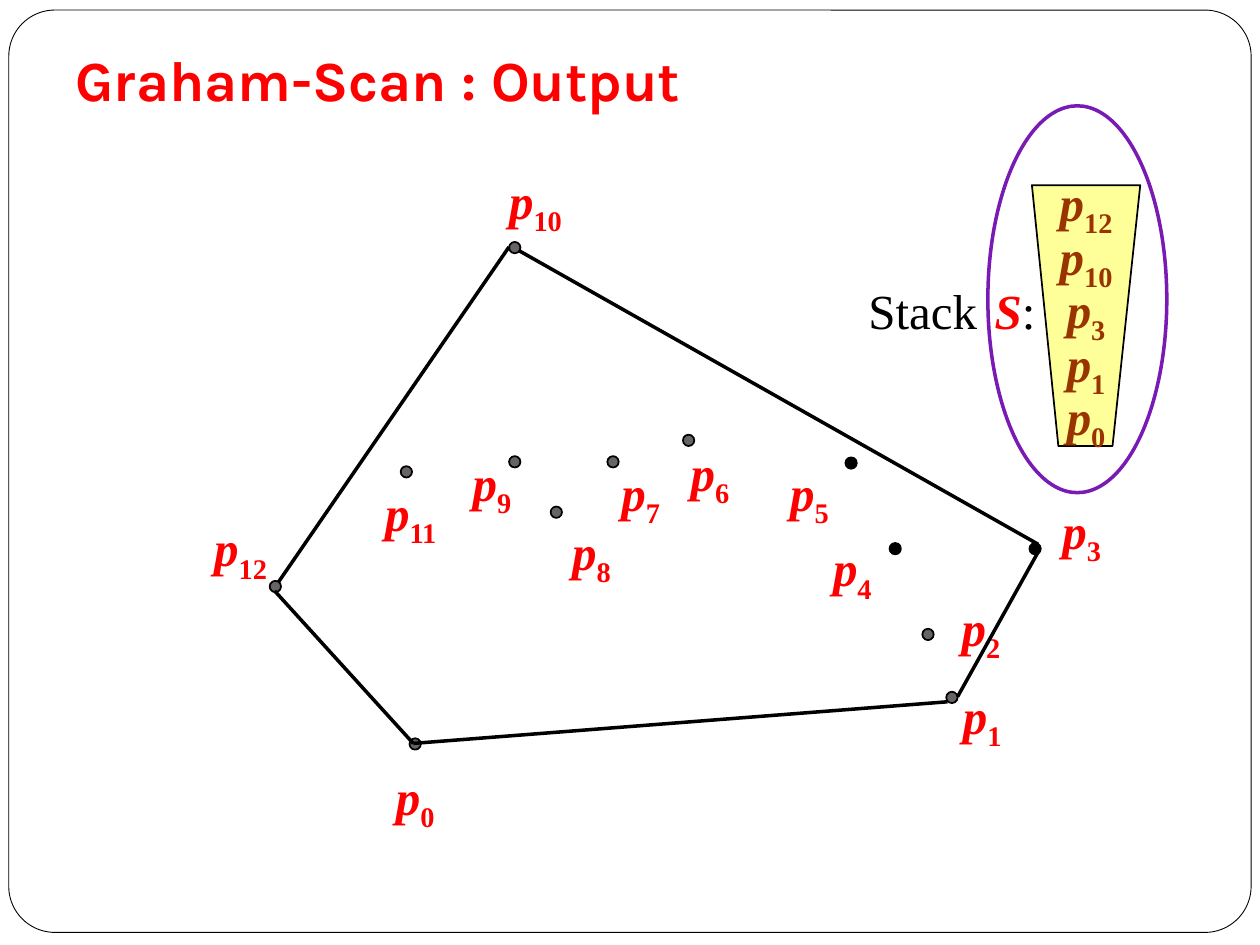
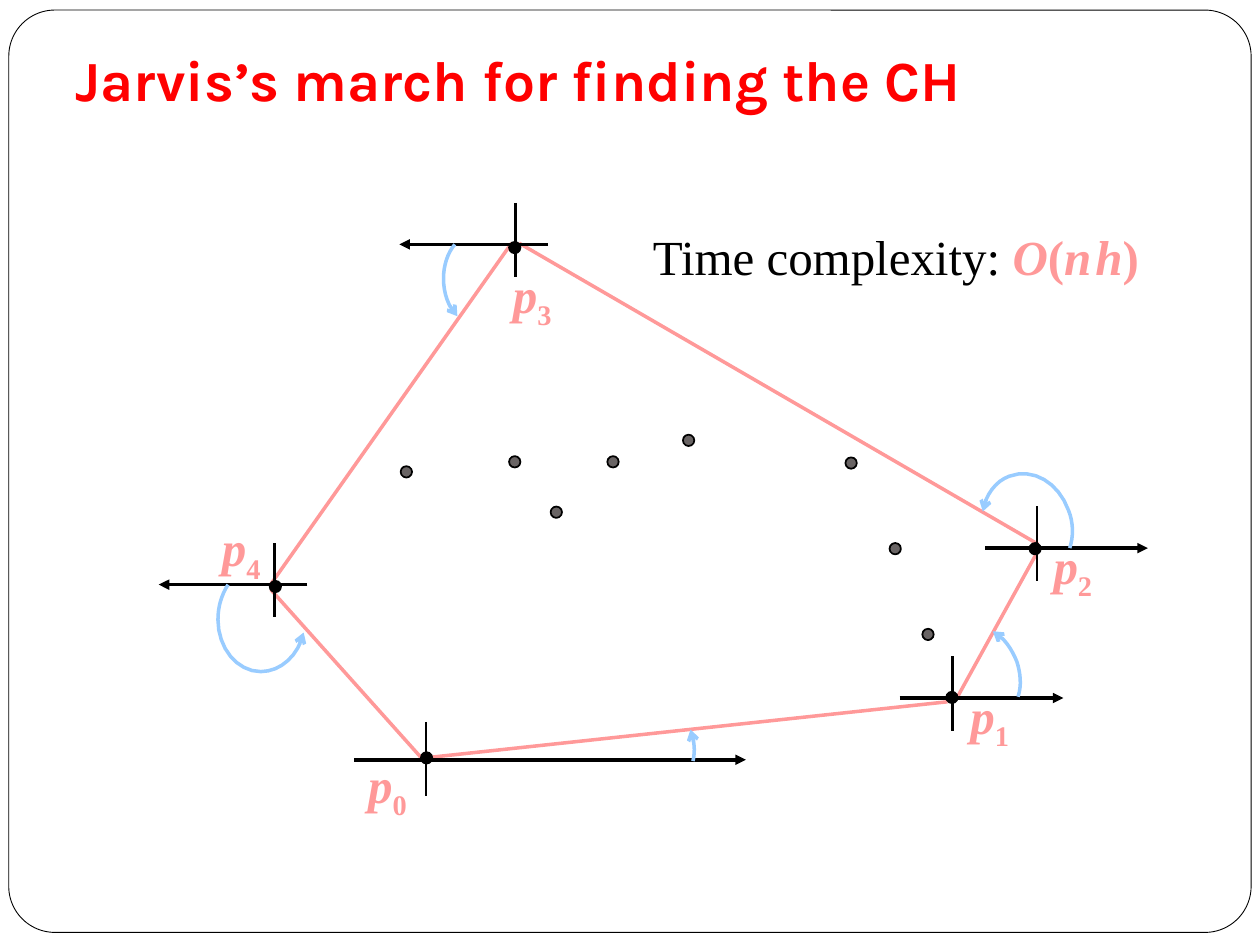
"""Build two slides on convex hulls: Graham scan and Jarvis's march."""
from typing import Any, NamedTuple, Optional

from lxml import etree
from pptx import Presentation
from pptx import util as u
from pptx.dml.color import RGBColor
from pptx.enum import shapes, text
from pptx.oxml.ns import qn

RED, PINK, BLUE = "FF0000", "FF9999", "99CCFF"
BLACK, GREY, WHITE = "000000", "696464", "FFFFFF"
BROWN, CREAM, PLUM = "993300", "FFFF99", "791AB4"
SERIF, SANS = "Times New Roman", "Karla"
DOT = 0.09
TICK = 0.59
STEPS = 8

Point = tuple[float, float]


class Run(NamedTuple):
    """A stretch of text in one format."""
    words: str
    hue: str = BLACK
    bold: bool = False
    slant: bool = False
    size: float = 28
    face: str = SERIF
    sub: bool = False


class Label(NamedTuple):
    """A point's number and the corner of its label."""
    num: int
    left: float
    top: float


class Line(NamedTuple):
    """A straight line between two points."""
    start: Point
    end: Point
    hue: str = BLACK
    width: float = 2
    head: Optional[str] = None


class Cross(NamedTuple):
    """A sweep ray with its upright tick."""
    tail: float
    tip: float
    level: float
    mid: float
    top: float


DOTS: list[Point] = [
    (3.25, 5.86), (7.51, 5.49), (7.32, 4.99), (8.17, 4.31), (7.06, 4.31),
    (6.71, 3.63), (5.42, 3.45), (4.82, 3.62), (4.37, 4.02), (4.04, 3.62),
    (4.04, 1.92), (3.18, 3.7), (2.14, 4.61)]

SCAN_TAGS = [
    Label(0, 3.13, 6.08), Label(1, 7.63, 5.44), Label(2, 7.62, 4.74),
    Label(3, 8.42, 3.97), Label(4, 6.6, 4.27), Label(5, 6.26, 3.67),
    Label(6, 5.47, 3.51), Label(7, 4.92, 3.67), Label(8, 4.53, 4.14),
    Label(9, 3.74, 3.59), Label(10, 4.02, 1.35), Label(11, 3.03, 3.83),
    Label(12, 1.68, 4.11)]

SCAN_HULL = [
    Line((3.28, 5.9), (7.52, 5.57)), Line((7.6, 5.53), (8.24, 4.38)),
    Line((8.24, 4.32), (4.12, 1.99)), Line((2.21, 4.62), (4.04, 1.96)),
    Line((2.18, 4.69), (3.28, 5.9))]

MARCH_TAGS = [
    Label(0, 2.91, 5.99), Label(1, 7.69, 5.44), Label(2, 8.35, 4.25),
    Label(3, 4.06, 2.1), Label(4, 1.75, 4.11)]

MARCH_HULL = [
    Line((3.42, 6.01), (7.52, 5.57), PINK), Line((7.6, 5.53), (8.25, 4.35), PINK),
    Line((8.24, 4.32), (4.12, 1.93), PINK), Line((4.06, 1.93), (2.14, 4.65), PINK),
    Line((2.15, 4.68), (3.34, 6.01), PINK)]

SWEEPS = [
    Cross(2.81, 5.92, 6.03, 3.38, 5.73), Cross(7.14, 8.44, 5.54, 7.56, 5.21),
    Cross(7.82, 9.11, 4.35, 8.23, 4.02), Cross(4.35, 3.17, 1.94, 4.09, 1.61),
    Cross(2.44, 1.26, 4.64, 2.18, 4.31)]

TURNS: list[list[Point]] = [
    [(5.5, 6.04), (5.52, 5.96), (5.51, 5.87), (5.48, 5.79)],
    [(8.08, 5.53), (8.11, 5.44), (8.1, 5.34), (8.07, 5.25),
     (8.03, 5.15), (7.97, 5.06), (7.88, 5.01)],
    [(8.49, 4.35), (8.52, 4.26), (8.52, 4.15), (8.48, 4.05), (8.4, 3.83),
     (8.2, 3.71), (8.01, 3.78), (7.9, 3.82), (7.82, 3.93), (7.8, 4.06)],
    [(3.61, 1.94), (3.55, 2.01), (3.52, 2.11), (3.52, 2.21),
     (3.52, 2.33), (3.56, 2.44), (3.63, 2.51)],
    [(1.81, 4.64), (1.76, 4.72), (1.73, 4.81), (1.73, 4.92), (1.73, 5.14),
     (1.88, 5.33), (2.07, 5.33), (2.23, 5.33), (2.37, 5.2), (2.41, 5.02)]]


def cm(*spans: float) -> list[u.Length]:
    """Turn inches into lengths."""
    return [u.Cm(span * 2.54) for span in spans]


def put(obj: Any, **vals: Any) -> None:
    """Set each named attribute."""
    for name, val in vals.items():
        setattr(obj, name, val)


def paint(fill: Any, hue: Optional[str]) -> None:
    """Fill with a colour, or with none."""
    if hue is None:
        fill.background()
    else:
        fill.solid()
        fill.fore_color.rgb = RGBColor.from_string(hue)


def stroke(shape: Any, hue: str, width: float, head: Optional[str] = None) -> None:
    """Style an outline and its arrowhead."""
    paint(shape.line.fill, hue)
    shape.line.width = u.Pt(width)
    if head:
        etree.SubElement(shape.line._get_or_add_ln(), qn("a:tailEnd"), type=head)


def dress(shape: Any, fill: Optional[str], hue: str, width: float,
          head: Optional[str] = None) -> None:
    """Give a shape its fill and line, and no shadow."""
    shape.shadow.inherit = False
    paint(shape.fill, fill)
    stroke(shape, hue, width, head)


def frame_text(box: Any, pads: tuple[float, ...], **vals: Any) -> None:
    """Set the insets and other values of a text frame."""
    names = ("margin_left", "margin_top", "margin_right", "margin_bottom")
    put(box.text_frame, **dict(zip(names, cm(*pads))), **vals)


def write(box: Any, paras: list[list[Run]], **vals: Any) -> None:
    """Write paragraphs of runs into a shape."""
    frame = box.text_frame
    for i, runs in enumerate(paras):
        para = frame.add_paragraph() if i else frame.paragraphs[0]
        put(para, **{"alignment": text.PP_ALIGN.CENTER, **vals})
        for item in runs:
            run = para.add_run()
            run.text = item.words
            put(run.font, name=item.face, size=u.Pt(item.size),
                bold=item.bold, italic=item.slant)
            paint(run.font.fill, item.hue)
            if item.sub:
                run._r.get_or_add_rPr().set("baseline", "-25000")


def name_runs(num: int, hue: str) -> list[Run]:
    """Give the runs of a point's name."""
    return [Run("p", hue, True, True), Run(str(num), hue, True, sub=True)]


def add_text(slide: Any, at: tuple[float, ...], runs: list[Run],
             pads: tuple[float, ...] = (0.1, 0.05, 0.1, 0.05), **vals: Any) -> None:
    """Add a centred text box of one line."""
    box = slide.shapes.add_textbox(*cm(*at))
    frame_text(box, pads, word_wrap=False)
    write(box, [runs], **vals)


def add_tags(slide: Any, tags: list[Label], hue: str) -> None:
    """Add the names of the points."""
    for tag in tags:
        wide = 0.46 if tag.num > 9 else 0.33
        add_text(slide, (tag.left, tag.top, wide, 0.47),
                 name_runs(tag.num, hue), (0, 0, 0, 0))


def add_dots(slide: Any, dots: list[Point], dark: set[int]) -> None:
    """Add the points, some of them black."""
    for i, spot in enumerate(dots):
        dot = slide.shapes.add_shape(shapes.MSO_SHAPE.OVAL, *cm(*spot, DOT, DOT))
        dress(dot, BLACK if i in dark else GREY, BLACK, 1)


def add_lines(slide: Any, lines: list[Line]) -> None:
    """Add straight connectors."""
    for line in lines:
        link = slide.shapes.add_connector(
            shapes.MSO_CONNECTOR.STRAIGHT, *cm(*line.start, *line.end))
        stroke(link, line.hue, line.width, line.head)
        etree.SubElement(link._element.spPr, qn("a:effectLst"))


def add_cross(slide: Any, ray: Cross) -> None:
    """Add a sweep ray and its tick."""
    add_lines(slide, [
        Line((ray.tail, ray.level), (ray.tip, ray.level), head="triangle"),
        Line((ray.mid, ray.top), (ray.mid, ray.top + TICK), width=1.5)])


def add_path(slide: Any, spots: list[Point], close: bool) -> Any:
    """Add an outline through the given spots."""
    first, *rest = [tuple(cm(*spot)) for spot in spots]
    pen = slide.shapes.build_freeform(*first)
    pen.add_line_segments(rest, close=close)
    return pen.convert_to_shape()


def bend(knots: list[Point]) -> list[Point]:
    """Trace a chain of cubic curves."""
    spots = [knots[0]]
    for i in range(0, len(knots) - 1, 3):
        for step in range(1, STEPS + 1):
            t = step / STEPS
            parts = ((1 - t) ** 3, 3 * t * (1 - t) ** 2, 3 * t * t * (1 - t), t ** 3)
            x, y = (sum(w * k[axis] for w, k in zip(parts, knots[i:i + 4]))
                    for axis in (0, 1))
            spots.append((x, y))
    return spots


def add_slide(deck: Any, title: str) -> Any:
    """Add a slide with its styled title."""
    slide = deck.slides.add_slide(deck.slide_layouts.get_by_name("Title Only"))
    head = slide.shapes.title
    put(head, **dict(zip(("left", "top", "width", "height"), cm(0.5, 0.42, 9, 0.58))))
    frame_text(head, (0.1, 0.05, 0.1, 0.1), word_wrap=True,
               vertical_anchor=text.MSO_ANCHOR.BOTTOM,
               auto_size=text.MSO_AUTO_SIZE.NONE)
    write(head, [[Run(title, RED, True, size=32.4, face=SANS)]],
          alignment=text.PP_ALIGN.LEFT)
    return slide


def add_border(deck: Any, slide: Any) -> None:
    """Put the rounded border on the master."""
    border = slide.shapes.add_shape(
        shapes.MSO_SHAPE.ROUNDED_RECTANGLE, *cm(0.07, 0.08, 9.86, 7.32))
    border.adjustments[0] = 0.05
    dress(border, WHITE, BLACK, 0.5)
    deck.slide_master.shapes.element.insert(2, border.element)


def draw_scan(slide: Any) -> None:
    """Draw the hull and the stack of the Graham scan."""
    add_dots(slide, DOTS, {3, 4, 5})
    add_tags(slide, SCAN_TAGS, RED)
    add_lines(slide, SCAN_HULL)
    stack = add_path(slide, [(8.19, 1.47), (8.4, 3.54), (8.83, 3.54), (9.05, 1.47)], True)
    dress(stack, CREAM, BLACK, 1)
    frame_text(stack, (0.1, 0, 0.1, 0.05), word_wrap=False,
               vertical_anchor=text.MSO_ANCHOR.MIDDLE)
    write(stack, [name_runs(num, BROWN) for num in (12, 10, 3, 1, 0)], line_spacing=0.8)
    add_text(slide, (6.79, 2.18, 1.53, 0.57), [
        Run("Stack "), Run(" ", size=12), Run("S", RED, True, True), Run(":")])
    ring = slide.shapes.add_shape(shapes.MSO_SHAPE.OVAL, *cm(7.84, 0.84, 1.42, 3.07))
    dress(ring, None, PLUM, 2)


def draw_march(slide: Any) -> None:
    """Draw the hull and the turns of Jarvis's march."""
    add_lines(slide, MARCH_HULL)
    for ray, knots in zip(SWEEPS, TURNS):
        add_cross(slide, ray)
        dress(add_path(slide, bend(knots), False), None, BLUE, 2, "arrow")
    add_dots(slide, [(3.34, 5.97), *DOTS[1:]], {0, 1, 3, 10, 12})
    add_tags(slide, MARCH_TAGS, PINK)
    add_text(slide, (5.07, 1.7, 4.08, 0.61), [
        Run("Time complexity: "), Run("O", PINK, True, True), Run("(", PINK, True),
        Run("n", PINK, True, True), Run(" ", PINK, True, size=9),
        Run("h", PINK, True, True), Run(")", PINK, True)],
        line_spacing=1.1, space_before=u.Pt(7))


def main() -> None:
    """Build and save the deck."""
    deck = Presentation()
    deck.slide_width, deck.slide_height = cm(10, 7.5)
    scan = add_slide(deck, "Graham-Scan : Output")
    add_border(deck, scan)
    draw_scan(scan)
    draw_march(add_slide(deck, "Jarvis’s march for finding the CH"))
    deck.save("out.pptx")


if __name__ == "__main__":
    main()
